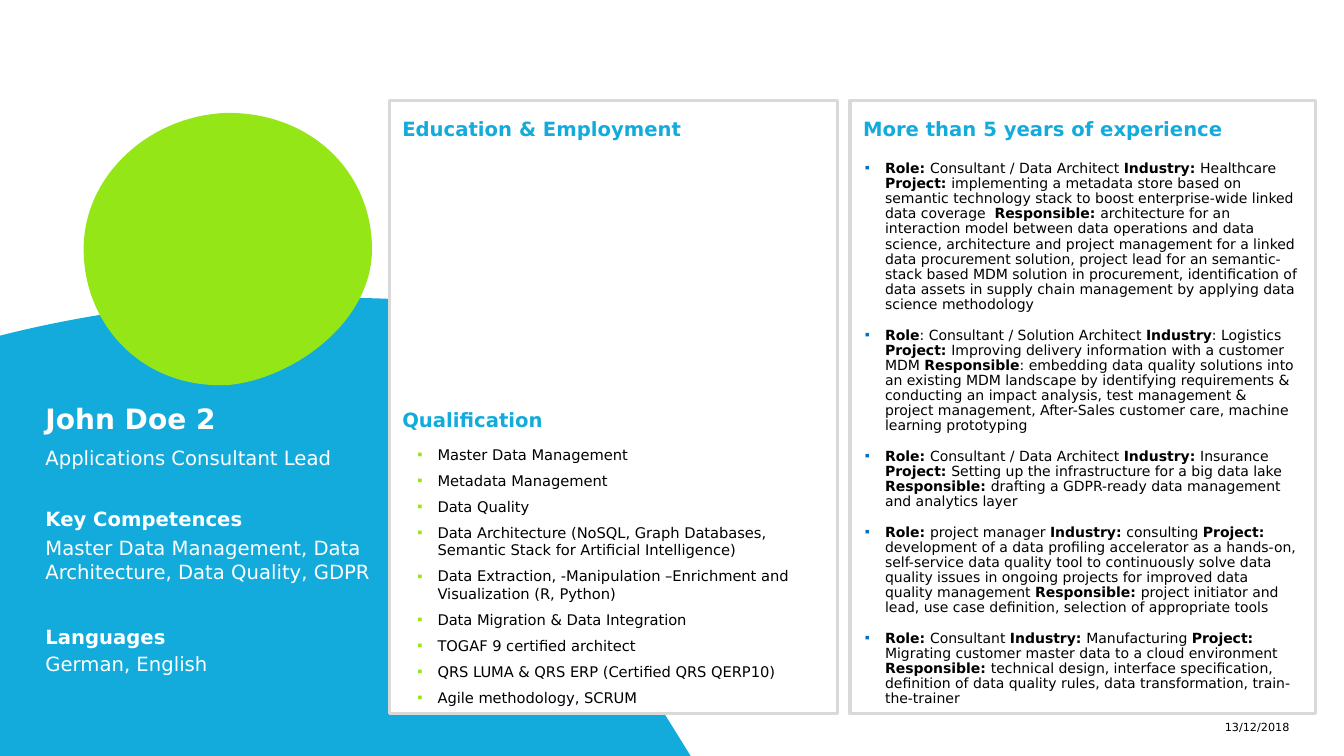
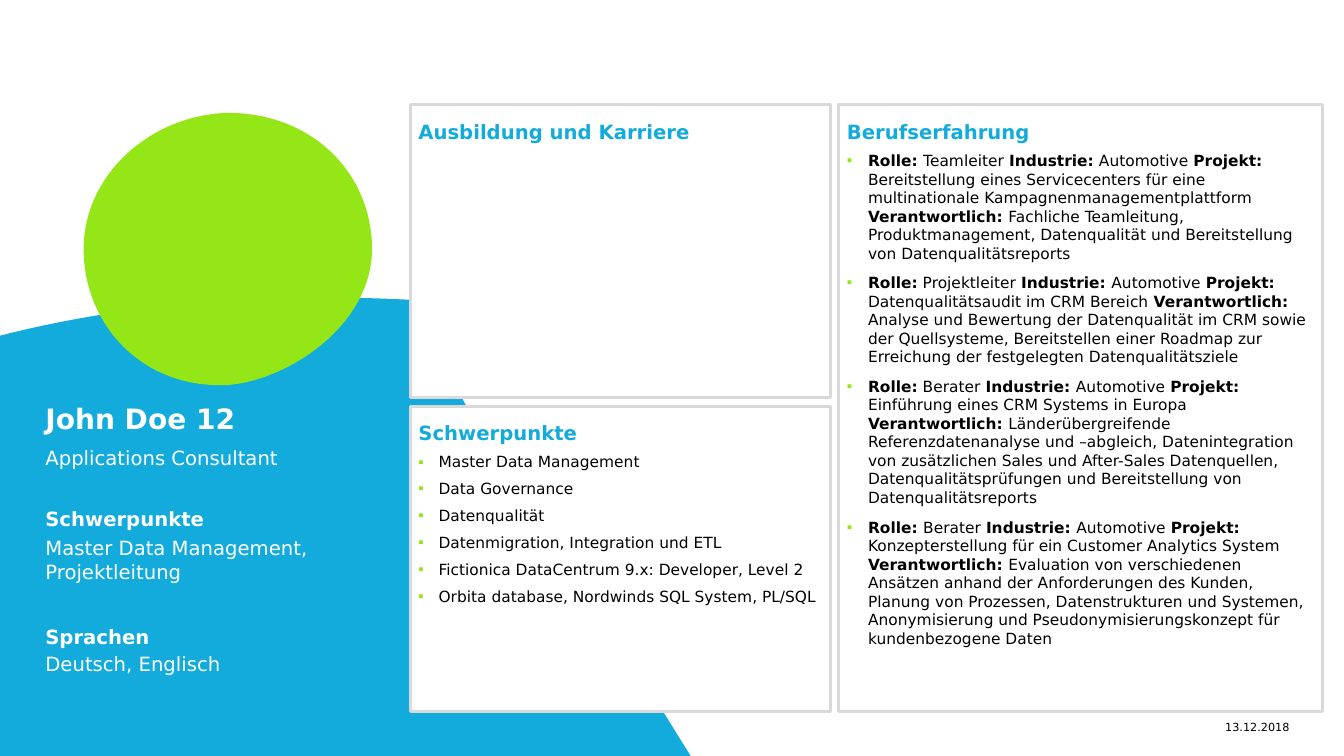
import pptx
import pptx.dml.color
import pptx.enum.shapes
import pptx.enum.text
import pptx.oxml
import pptx.oxml.ns
import pptx.util

Inches = pptx.util.Inches
Pt = pptx.util.Pt
ANCHOR = pptx.enum.text.MSO_ANCHOR
ALIGN = pptx.enum.text.PP_ALIGN

COLORS = {
    "blue": "12ABDB",
    "green": "95E616",
    "navy": "0070C0",
    "gray": "D9D9D9",
    "white": "FFFFFF",
    "black": "000000",
}
FONT = "DejaVu Sans"
SPACE = pptx.oxml.ns.nsdecls("a")

# Outlines: a start point, then lines (one point) and curves (three points)
WAVE = [
    [(3.1, 2.95)],
    [(3.46, 2.95), (3.82, 2.96), (4.18, 2.98)],
    [(4.49, 4.11), (5.57, 5.49), (6.54, 7)],
    [(6.85, 7.5)],
    [(0, 7.5)],
    [(0, 3.33)],
    [(0.98, 3.08), (2.03, 2.96), (3.1, 2.95)],
]
BLOB = [
    [(0.83, 2.47)],
    [(0.83, 1.73), (1.5, 1.14), (2.26, 1.12)],
    [(3.11, 1.12), (3.69, 1.73), (3.69, 2.47)],
    [(3.69, 3.22), (2.87, 3.77), (2.26, 3.82)],
    [(1.41, 3.86), (0.83, 3.22), (0.83, 2.47)],
]


def rgb(name):
    return pptx.dml.color.RGBColor.from_string(COLORS[name])


def bend(shape, steps):
    """Turn the lines of a freeform into curves where a step has three points."""
    lines = list(shape.element.iter(pptx.oxml.ns.qn("a:lnTo")))
    for line, step in zip(lines, steps):
        if len(step) == 3:
            points = "".join(
                f'<a:pt x="{Inches(x) - shape.left}" y="{Inches(y) - shape.top}"/>'
                for x, y in step)
            xml = f"<a:cubicBezTo {SPACE}>{points}</a:cubicBezTo>"
            line.getparent().replace(line, pptx.oxml.parse_xml(xml))


def bullet(para, color, indent):
    props = para._p.get_or_add_pPr()
    props.set("marL", str(Inches(indent)))
    props.set("indent", str(-Inches(indent)))
    for xml in (
        f'<a:buClr {SPACE}><a:srgbClr val="{COLORS[color]}"/></a:buClr>',
        f'<a:buFont {SPACE} typeface="Arial"/>',
        f'<a:buChar {SPACE} char="▪"/>',
    ):
        props.append(pptx.oxml.parse_xml(xml))


def write(frame, text, size=14, color="white", bold=False, align=ALIGN.LEFT,
          anchor=ANCHOR.TOP, inset=(0, 0), line=None, before=0, after=6,
          mark=None, indent=0.2):
    """Fill a frame with one paragraph or a list; *stars* switch bold."""
    frame.word_wrap = True
    frame.auto_size = pptx.enum.text.MSO_AUTO_SIZE.NONE
    frame.vertical_anchor = anchor
    frame.margin_left = frame.margin_right = Inches(inset[0])
    frame.margin_top = frame.margin_bottom = Inches(inset[1])
    items = [text] if isinstance(text, str) else text
    for i, item in enumerate(items):
        para = frame.add_paragraph() if i else frame.paragraphs[0]
        para.alignment = align
        para.line_spacing = line
        para.space_before = Pt(before)
        para.space_after = Pt(after)
        if mark:
            bullet(para, mark, indent)
        for j, part in enumerate(item.split("*")):
            if part:
                run = para.add_run()
                run.text = part
                run.font.name = FONT
                run.font.size = Pt(size)
                run.font.bold = bold or j % 2 == 1
                run.font.color.rgb = rgb(color)


class Deck:
    HEAD = dict(bold=True, anchor=ANCHOR.MIDDLE, line=Pt(22))

    def __init__(self):
        self.file = pptx.Presentation()
        self.file.slide_width = Inches(13.33)
        self.file.slide_height = Inches(7.5)
        self.slide = None

    def paint(self, shape, fill, line=None):
        shape.shadow.inherit = False
        shape.fill.solid()
        shape.fill.fore_color.rgb = rgb(fill)
        if line:
            shape.line.color.rgb = rgb(line)
            shape.line.width = Pt(2.25)
        else:
            shape.line.fill.background()

    def shape(self, outline, fill):
        ends = [tuple(map(Inches, step[-1])) for step in outline]
        pen = self.slide.shapes.build_freeform(*ends[0])
        pen.add_line_segments(ends[1:], close=True)
        shape = pen.convert_to_shape()
        bend(shape, outline[1:])
        self.paint(shape, fill)

    def panel(self, *box):
        kind = pptx.enum.shapes.MSO_SHAPE.RECTANGLE
        rect = self.slide.shapes.add_shape(kind, *map(Inches, box))
        self.paint(rect, "white", "gray")

    def text(self, box, text, **style):
        frame = self.slide.shapes.add_textbox(*map(Inches, box)).text_frame
        write(frame, text, **style)

    def head(self, box, text, color="blue", inset=(0, 0)):
        self.text(box, text, color=color, inset=inset, **self.HEAD)

    def title(self, text):
        name = self.slide.shapes.title
        name.left, name.top, name.width, name.height = map(Inches, (0.45, 3.94, 3.31, 0.45))
        write(name.text_frame, text, size=20, after=0, **self.HEAD)
        # Bring the name in front of the blue wave
        self.slide.shapes.element.append(name.element)

    def page(self, panels, name, job, skills, tongues, date):
        """Start a profile: backdrop, panels, left column and date."""
        self.slide = self.file.slides.add_slide(self.file.slide_layouts[5])
        self.shape(WAVE, "blue")
        self.shape(BLOB, "green")
        for box in panels:
            self.panel(*box)
        self.title(name)
        self.text((0.45, 4.42, 3.31, 0.59), job)
        for top, next_top, high, (head, body) in (
            (4.93, 5.32, 0.32, skills),
            (6.1, 6.47, 0.59, tongues),
        ):
            self.head((0.45, top, 3.31, 0.36), head, "white")
            self.text((0.45, next_top, 3.31, high), body)
        self.text((9.89, 7.09, 3, 0.24), date, size=8, color="black", after=0,
                  align=ALIGN.RIGHT, anchor=ANCHOR.MIDDLE, inset=(0.1, 0.05))

    def list(self, box, items, **style):
        self.text(box, items, color="black", **{"mark": "green", **style})


def english(deck):
    deck.page(
        [(3.86, 1, 4.45, 6.08), (8.43, 1, 4.62, 6.08)],
        "John Doe 2", "Applications Consultant Lead",
        ("Key Competences", "Master Data Management, Data Architecture, Data Quality, GDPR"),
        ("Languages", "German, English"), "13/12/2018")

    # Headings
    for left, top, wide, text in (
        (3.86, 1.02, 4.62, "Education & Employment"),
        (3.86, 3.9, 4.62, "Qualification"),
        (8.43, 1.02, 4.3, "More than 5 years of experience"),
    ):
        deck.head((left, top, wide, 0.45), text, inset=(0.13, 0))

    # Qualification
    deck.list((4.14, 4.42, 4.17, 2.57), [
        "Master Data Management",
        "Metadata Management",
        "Data Quality",
        "Data Architecture (NoSQL, Graph Databases, Semantic Stack for Artificial Intelligence)",
        "Data Extraction, -Manipulation –Enrichment and Visualization (R, Python)",
        "Data Migration & Data Integration",
        "TOGAF 9 certified architect",
        "QRS LUMA & QRS ERP (Certified QRS QERP10)",
        "Agile methodology, SCRUM",
    ], size=10.5)

    # Experience
    deck.list((8.48, 1.55, 4.49, 5.51), [
        "*Role: *Consultant / Data Architect *Industry: *Healthcare *Project: *implementing "
        "a metadata store based on semantic technology stack to boost enterprise-wide linked "
        "data coverage  *Responsible: *architecture for an interaction model between data "
        "operations and data science, architecture and project management for a linked data "
        "procurement solution, project lead for an semantic-stack based MDM solution in "
        "procurement, identification of data assets in supply chain management by applying "
        "data science methodology",
        "*Role*: Consultant / Solution Architect *Industry*: Logistics *Project: *Improving "
        "delivery information with a customer MDM *Responsible*: embedding data quality "
        "solutions into an existing MDM landscape by identifying requirements & conducting "
        "an impact analysis, test management & project management, After-Sales customer "
        "care, machine learning prototyping",
        "*Role: *Consultant / Data Architect *Industry: *Insurance *Project: *Setting up the "
        "infrastructure for a big data lake *Responsible: *drafting a GDPR-ready data "
        "management and analytics layer",
        "*Role: *project manager *Industry: *consulting *Project: *development of a data "
        "profiling accelerator as a hands-on, self-service data quality tool to continuously "
        "solve data quality issues in ongoing projects for improved data quality management "
        "*Responsible: *project initiator and lead, use case definition, selection of "
        "appropriate tools",
        "*Role: *Consultant *Industry: *Manufacturing *Project: *Migrating customer master "
        "data to a cloud environment *Responsible: *technical design, interface "
        "specification, definition of data quality rules, data transformation, "
        "train-the-trainer",
    ], size=10, mark="navy", line=0.9, after=10.8, inset=(0.1, 0.05))


def german(deck):
    deck.page(
        [(8.32, 1.04, 4.8, 6.02), (4.07, 1.04, 4.17, 2.9), (4.07, 4.03, 4.17, 3.03)],
        "John Doe 12", "Applications Consultant",
        ("Schwerpunkte", "Master Data Management, Projektleitung"),
        ("Sprachen", "Deutsch, Englisch"), "13.12.2018")

    # Headings
    for left, top, text in (
        (4.15, 1.04, "Ausbildung und Karriere"),
        (4.15, 4.03, "Schwerpunkte"),
        (8.4, 1.04, "Berufserfahrung"),
    ):
        deck.head((left, top, 4.33, 0.45), text)

    # Focus
    deck.list((4.15, 4.49, 4.17, 2.57), [
        "Master Data Management",
        "Data Governance",
        "Datenqualität",
        "Datenmigration, Integration und ETL",
        "Fictionica DataCentrum 9.x: Developer, Level 2",
        "Orbita database, Nordwinds SQL System, PL/SQL",
    ], size=11)

    # Experience
    deck.list((8.4, 1.5, 4.57, 5.56), [
        "*Rolle: *Teamleiter *Industrie:* Automotive *Projekt:* Bereitstellung eines "
        "Servicecenters für eine multinationale Kampagnenmanagementplattform "
        "*Verantwortlich: *Fachliche Teamleitung, Produktmanagement, Datenqualität und "
        "Bereitstellung von Datenqualitätsreports",
        "*Rolle:* Projektleiter *Industrie: *Automotive *Projekt:* Datenqualitätsaudit im "
        "CRM Bereich *Verantwortlich: *Analyse und Bewertung der Datenqualität im CRM sowie "
        "der Quellsysteme, Bereitstellen einer Roadmap zur Erreichung der festgelegten "
        "Datenqualitätsziele",
        "*Rolle:* Berater *Industrie: *Automotive *Projekt:* Einführung eines CRM Systems "
        "in Europa *Verantwortlich: *Länderübergreifende Referenzdatenanalyse und "
        "–abgleich, Datenintegration von zusätzlichen Sales und After-Sales Datenquellen, "
        "Datenqualitätsprüfungen und Bereitstellung von Datenqualitätsreports",
        "*Rolle: *Berater *Industrie: *Automotive *Projekt: *Konzepterstellung für ein "
        "Customer Analytics System *Verantwortlich: *Evaluation von verschiedenen Ansätzen "
        "anhand der Anforderungen des Kunden, Planung von Prozessen, Datenstrukturen und "
        "Systemen, Anonymisierung und Pseudonymisierungskonzept für kundenbezogene Daten",
    ], size=11, before=2, indent=0.21)


def main():
    deck = Deck()
    english(deck)
    german(deck)
    deck.file.save("out.pptx")


if __name__ == "__main__":
    main()
